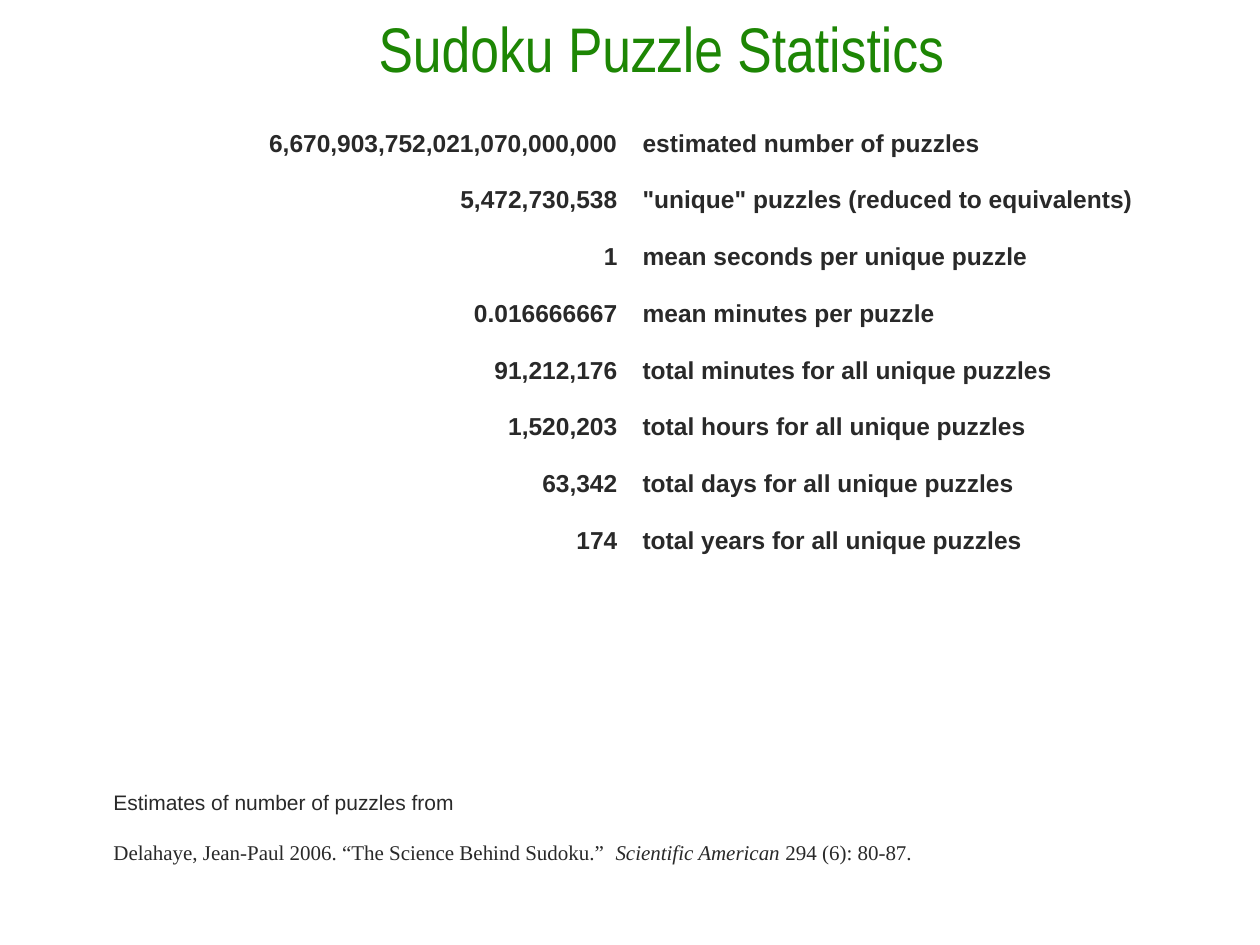
from pptx import Presentation
from pptx import util as u
from pptx.dml.color import RGBColor
from pptx.enum import text

COLORS = {"title": "1D8604", "body": "292929", "background": "FFFFFF"}
STATISTICS = [
    ("6,670,903,752,021,070,000,000", "estimated number of puzzles"),
    ("5,472,730,538", '"unique" puzzles (reduced to equivalents)'),
    ("1", "mean seconds per unique puzzle"),
    ("0.016666667", "mean minutes per puzzle"),
    ("91,212,176", "total minutes for all unique puzzles"),
    ("1,520,203", "total hours for all unique puzzles"),
    ("63,342", "total days for all unique puzzles"),
    ("174", "total years for all unique puzzles"),
]
COLUMN_WIDTHS = [4.2, 4.5]
ROW_HEIGHTS = [0.45] * len(STATISTICS) + [0.71, 0.68, 0.68, 0.4]
SOURCE_ROW, CITATION_ROW = 10, 11


def add_run(paragraph, content, size, font="Arial", color="body", bold=False, italic=False):
    """Append one formatted run to a paragraph."""
    run = paragraph.add_run()
    run.text = content
    run.font.name = font
    run.font.size = u.Pt(size)
    run.font.bold = bold
    run.font.italic = italic
    run.font.color.rgb = RGBColor.from_string(COLORS[color])


def add_title(slide, content):
    """Add the centred slide title."""
    box = slide.shapes.add_textbox(u.Inches(0.5), u.Inches(0), u.Inches(9.5), u.Inches(0.85))
    frame = box.text_frame
    frame.word_wrap = True
    frame.vertical_anchor = text.MSO_ANCHOR.MIDDLE
    paragraph = frame.paragraphs[0]
    paragraph.alignment = text.PP_ALIGN.CENTER
    paragraph.line_spacing = 0.83
    add_run(paragraph, content, 36, "Arial Narrow", "title")


def add_plain_table(slide):
    """Add the empty table with plain cells anchored at the bottom."""
    frame = slide.shapes.add_table(
        len(ROW_HEIGHTS), len(COLUMN_WIDTHS), u.Inches(0.8), u.Inches(0.85),
        u.Inches(sum(COLUMN_WIDTHS)), u.Inches(sum(ROW_HEIGHTS)))
    table = frame.table
    table.first_row = False
    table.horz_banding = False
    for column, width in zip(table.columns, COLUMN_WIDTHS):
        column.width = u.Inches(width)
    for row, height in zip(table.rows, ROW_HEIGHTS):
        row.height = u.Inches(height)
    for cell in table.iter_cells():
        cell.fill.solid()
        cell.fill.fore_color.rgb = RGBColor.from_string(COLORS["background"])
        cell.vertical_anchor = text.MSO_ANCHOR.BOTTOM
    return table


def cell_paragraph(cell, alignment=text.PP_ALIGN.LEFT):
    """Return the cell's paragraph with a hanging indent."""
    paragraph = cell.text_frame.paragraphs[0]
    paragraph.alignment = alignment
    properties = paragraph._p.get_or_add_pPr()
    properties.set("marL", str(u.Inches(0.38)))
    properties.set("indent", str(u.Inches(-0.38)))
    return paragraph


def fill_statistics(table):
    """Write each value beside its description."""
    for row, (value, description) in enumerate(STATISTICS):
        add_run(cell_paragraph(table.cell(row, 0), text.PP_ALIGN.RIGHT), value, 14, bold=True)
        add_run(cell_paragraph(table.cell(row, 1)), description, 14, bold=True)


def fill_citation(table):
    """Write the source note and its citation across both columns."""
    source = cell_paragraph(table.cell(SOURCE_ROW, 0))
    add_run(source, "Estimates of number of puzzles from", 12)
    cell = table.cell(CITATION_ROW, 0)
    cell.merge(table.cell(CITATION_ROW, 1))
    citation = cell_paragraph(cell)
    serif = "Times New Roman"
    add_run(citation, "Delahaye, Jean-Paul 2006. “The Science Behind Sudoku.”  ", 12, serif)
    add_run(citation, "Scientific American", 12, serif, italic=True)
    add_run(citation, " 294 (6): 80-87.", 12, serif)


def main():
    """Build and save the slide."""
    presentation = Presentation()
    presentation.slide_width = u.Inches(10)
    presentation.slide_height = u.Inches(7.5)
    slide = presentation.slides.add_slide(presentation.slide_layouts[6])
    add_title(slide, "Sudoku Puzzle Statistics")
    table = add_plain_table(slide)
    fill_statistics(table)
    fill_citation(table)
    presentation.save("out.pptx")


if __name__ == "__main__":
    main()
